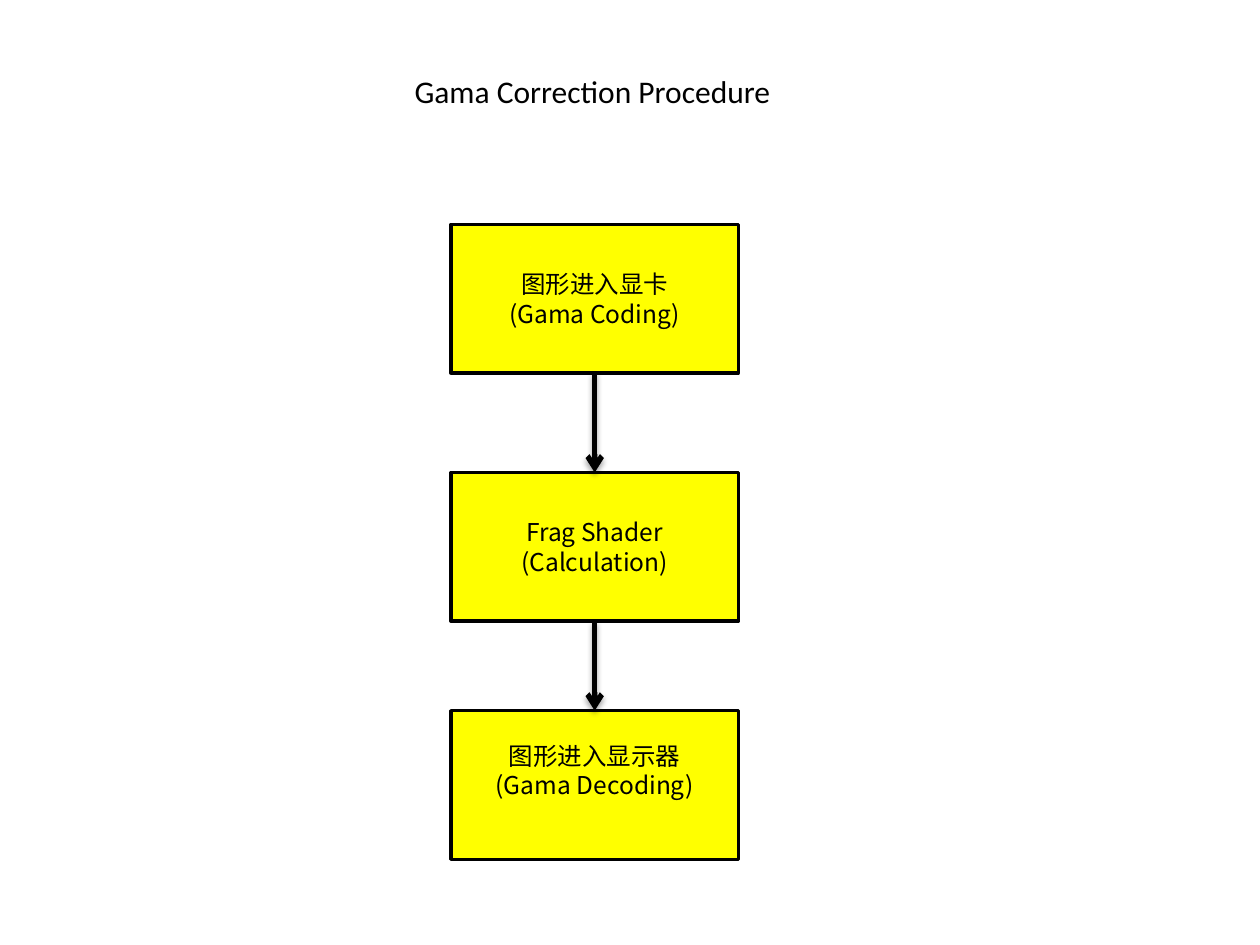
import dataclasses
import itertools
import typing

import lxml.etree
import pptx
import pptx.dml.color
import pptx.enum.shapes
import pptx.enum.text
import pptx.oxml
import pptx.oxml.ns
import pptx.util

Inches = pptx.util.Inches
Pt = pptx.util.Pt
RGBColor = pptx.dml.color.RGBColor
PP_ALIGN = pptx.enum.text.PP_ALIGN
MSO_ANCHOR = pptx.enum.text.MSO_ANCHOR
qn = pptx.oxml.ns.qn

BLACK = RGBColor(0x00, 0x00, 0x00)
YELLOW = RGBColor(0xFF, 0xFF, 0x00)
TITLE_FONT = "Calibri"
STEP_FONT = "Noto Sans CJK SC"
STEP_LEFT, STEP_WIDTH, STEP_HEIGHT = 3.58, 2.28, 1.18

SHADOW = (
    f'<a:effectLst {pptx.oxml.ns.nsdecls("a")}>'
    '<a:outerShdw blurRad="40000" dist="23000" dir="5400000" rotWithShape="0">'
    '<a:srgbClr val="000000"><a:alpha val="35000"/></a:srgbClr>'
    "</a:outerShdw></a:effectLst>"
)


@dataclasses.dataclass(frozen=True)
class Step:
    top: float
    lines: tuple[str, ...]
    bottom_margin: float = 0.05


STEPS = (
    Step(1.78, ("图形进入显卡", "(Gama Coding)")),
    Step(3.75, ("Frag Shader", "(Calculation)")),
    Step(5.64, ("图形进入显示器", "(Gama Decoding)"), 0.28),
)


def set_attrs(target: typing.Any, values: dict[str, typing.Any]) -> None:
    for name, value in values.items():
        setattr(target, name, value)


def add_text(p: typing.Any, text: str, font: str, size: int) -> None:
    r = p.add_run()
    r.text = text
    set_attrs(r.font, {"name": font, "size": Pt(size)})
    r.font.color.rgb = BLACK
    lxml.etree.SubElement(r.font._element, qn("a:ea"), typeface=font)


def add_title(s: typing.Any, text: str) -> None:
    sp = s.shapes.title
    set_attrs(sp, {"left": Inches(3.19), "top": Inches(0.52),
                   "width": Inches(3.06), "height": Inches(0.4)})
    tf = sp.text_frame
    set_attrs(tf, {"word_wrap": False, "vertical_anchor": MSO_ANCHOR.TOP,
                   "auto_size": pptx.enum.text.MSO_AUTO_SIZE.SHAPE_TO_FIT_TEXT})
    p = tf.paragraphs[0]
    p.alignment = PP_ALIGN.LEFT
    add_text(p, text, TITLE_FONT, 18)


def add_step(s: typing.Any, step: Step) -> typing.Any:
    sp = s.shapes.add_shape(
        pptx.enum.shapes.MSO_SHAPE.FLOWCHART_PROCESS,
        Inches(STEP_LEFT), Inches(step.top), Inches(STEP_WIDTH), Inches(STEP_HEIGHT))
    sp.shadow.inherit = False
    sp.fill.solid()
    sp.fill.fore_color.rgb = YELLOW
    sp.line.color.rgb = BLACK
    sp.line.width = Pt(2)
    tf = sp.text_frame
    set_attrs(tf, {"word_wrap": True, "vertical_anchor": MSO_ANCHOR.MIDDLE,
                   "margin_bottom": Inches(step.bottom_margin)})
    for i, line in enumerate(step.lines):
        p = tf.add_paragraph() if i else tf.paragraphs[0]
        p.alignment = PP_ALIGN.CENTER
        add_text(p, line, STEP_FONT, 14)
    return sp


def add_arrow(s: typing.Any, upper: typing.Any, lower: typing.Any) -> None:
    arrow = s.shapes.add_connector(pptx.enum.shapes.MSO_CONNECTOR.STRAIGHT, 0, 0, 0, 0)
    arrow.begin_connect(upper, 2)
    arrow.end_connect(lower, 0)
    arrow.line.color.rgb = BLACK
    arrow.line.width = Pt(3)
    lxml.etree.SubElement(arrow.line._get_or_add_ln(), qn("a:tailEnd"), type="arrow")
    arrow._element.spPr.append(pptx.oxml.parse_xml(SHADOW))


def main() -> None:
    prs = pptx.Presentation()
    set_attrs(prs, {"slide_width": Inches(10), "slide_height": Inches(7.5)})
    s = prs.slides.add_slide(prs.slide_layouts[5])
    add_title(s, "Gama Correction Procedure")
    boxes = [add_step(s, step) for step in STEPS]
    for upper, lower in itertools.pairwise(boxes):
        add_arrow(s, upper, lower)
    prs.save("out.pptx")


main()
